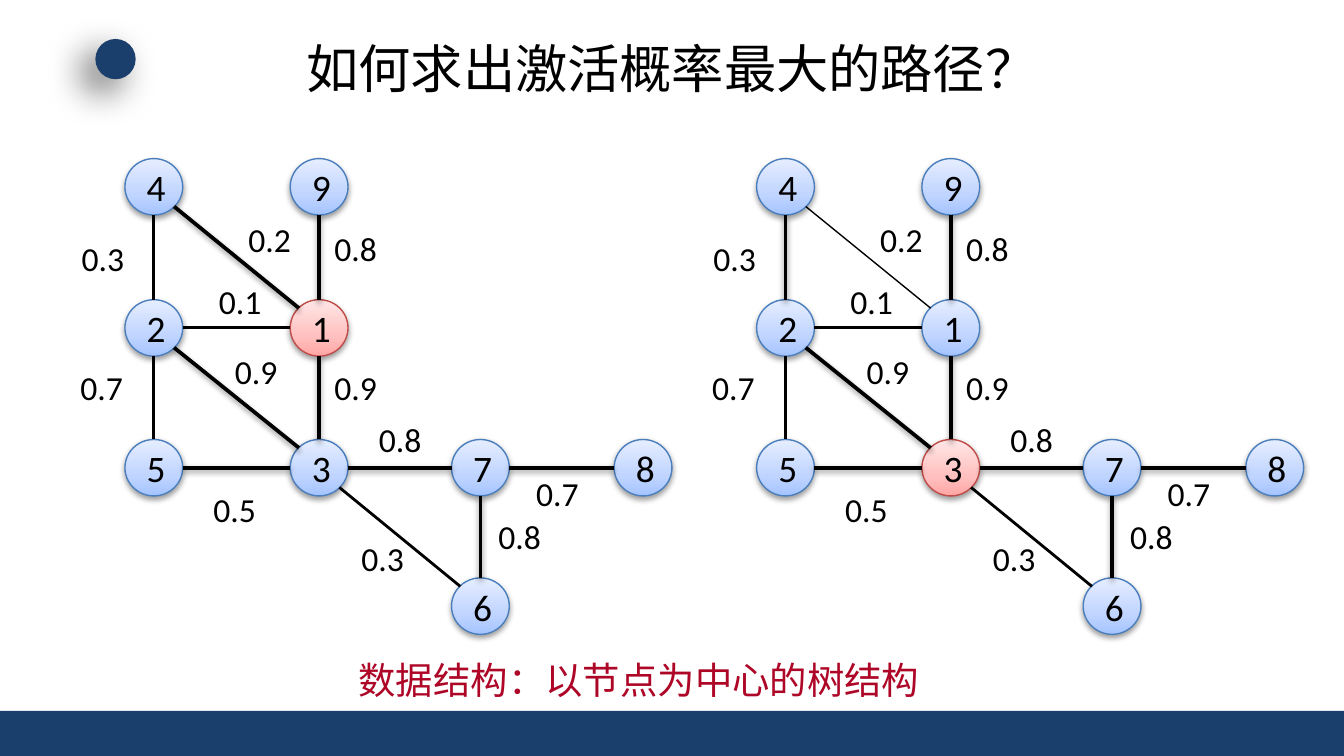
from copy import deepcopy
from lxml import etree
from pptx import Presentation
from pptx.dml.color import RGBColor
from pptx.enum.shapes import MSO_CONNECTOR, MSO_SHAPE
from pptx.enum.text import MSO_ANCHOR, MSO_AUTO_SIZE, PP_ALIGN
from pptx.oxml.ns import qn
from pptx.util import Inches, Pt

OVAL, RECT = MSO_SHAPE.OVAL, MSO_SHAPE.RECTANGLE
STRAIGHT = MSO_CONNECTOR.STRAIGHT
CENTER, MIDDLE = PP_ALIGN.CENTER, MSO_ANCHOR.MIDDLE
GROW = MSO_AUTO_SIZE.SHAPE_TO_FIT_TEXT
LATIN, CJK = "Calibri", "Noto Sans CJK SC"
COLORS = {"navy": "1A3F6C", "black": "000000", "red": "AE0627"}
NODE_STYLES = {
    "plain": {"line": "4B7EBC", "stops": ["A4C4FF", "BFD4FF", "E6EEFF"]},
    "center": {"line": "BF4C48", "stops": ["FFA6A5", "FFC0BF", "FFE7E7"]},
}
SOFT_SHADOW = {"blur": 3.1, "dist": 1.6, "angle": 90, "alpha": 38}
DEEP_SHADOW = {"blur": 20, "dist": 10, "angle": 135, "alpha": 60}


def write(shape, text, size, font=LATIN, color="black", align=None):
    paragraph = shape.text_frame.paragraphs[0]
    paragraph.alignment = align
    run = paragraph.add_run()
    run.text = text
    for name, value in {"size": Pt(size), "name": font}.items():
        setattr(run.font, name, value)
    run.font.color.rgb = RGBColor.from_string(COLORS[color])
    if font == CJK:
        etree.SubElement(run.font._element, qn("a:ea"), typeface=font)


def set_shadow(shape, shadow=None):
    """Call after fill and line: the effect list comes last."""
    effects = etree.SubElement(shape._element.spPr, qn("a:effectLst"))
    if shadow:
        outer = etree.SubElement(
            effects, qn("a:outerShdw"), blurRad=str(Pt(shadow["blur"])),
            dist=str(Pt(shadow["dist"])), dir=str(shadow["angle"] * 60000),
            rotWithShape="0")
        color = etree.SubElement(outer, qn("a:srgbClr"), val=COLORS["black"])
        etree.SubElement(color, qn("a:alpha"), val=str(shadow["alpha"] * 1000))


prs = Presentation()
prs.slide_width = Inches(10)
prs.slide_height = Inches(10 * 9 / 16)
slide = prs.slides.add_slide(prs.slide_layouts[5])

# Title
title = slide.shapes.title
title.left, title.top = Inches(0.5), Inches(0.23)
title.width, title.height = Inches(9), Inches(0.55)
title.text_frame.vertical_anchor = MIDDLE
write(title, "如何求出激活概率最大的路径？", 28, CJK, align=CENTER)

# Footer band and corner dot
for kind, box, shadow in [(RECT, (0, 5.29, 10, 0.34), None),
                          (OVAL, (0.71, 0.29, 0.3, 0.3), DEEP_SHADOW)]:
    ornament = slide.shapes.add_shape(kind, *map(Inches, box))
    ornament.fill.solid()
    ornament.fill.fore_color.rgb = RGBColor.from_string(COLORS["navy"])
    ornament.line.fill.background()
    set_shadow(ornament, shadow)

# Graph data: node top-left corners on a grid of columns and rows
NODE_W, NODE_H = 0.43, 0.42
COLS = [0.93, 2.16, 3.36, 4.57]
ROWS = [1.18, 2.23, 3.27, 4.3]
NODES = {2: (0, 1), 1: (1, 1), 3: (1, 2), 6: (2, 3), 5: (0, 2),
         7: (2, 2), 8: (3, 2), 9: (1, 0), 4: (0, 0)}
# start, end, probability, label left and top, line width in each graph
EDGES = [
    (1, 2, "0.1", 1.53, 2.04, (1.5, 1.5)),
    (1, 4, "0.2", 1.75, 1.58, (2, 0.75)),
    (9, 1, "0.8", 2.39, 1.65, (2, 2)),
    (2, 4, "0.3", 0.51, 1.72, (1.5, 2)),
    (2, 5, "0.7", 0.5, 2.68, (1.5, 1.5)),
    (3, 1, "0.9", 2.39, 2.68, (2, 2)),
    (6, 3, "0.3", 2.59, 3.95, (1.5, 1.5)),
    (7, 6, "0.8", 3.61, 3.79, (2, 2)),
    (3, 7, "0.8", 2.72, 3.07, (2, 2)),
    (7, 8, "0.7", 3.89, 3.47, (2, 2)),
    (2, 3, "0.9", 1.65, 2.56, (2, 2)),
    (5, 3, "0.5", 1.49, 3.59, (2, 2)),
]

for graph_index, (offset, center_node) in enumerate([(0, 1), (4.7, 3)]):
    graph = slide.shapes.add_group_shape().shapes

    # Nodes
    for number, (col, row) in NODES.items():
        style = NODE_STYLES["center" if number == center_node else "plain"]
        node = graph.add_shape(OVAL, Inches(COLS[col] + offset), Inches(ROWS[row]),
                               Inches(NODE_W), Inches(NODE_H))
        node.fill.gradient()
        node.fill.gradient_angle = 90
        stop_list = node._element.spPr.find(".//" + qn("a:gsLst"))
        stop_list.append(deepcopy(stop_list[0]))
        for stop, position, color in zip(node.fill.gradient_stops,
                                         (0, 0.35, 1), style["stops"]):
            stop.position = position
            stop.color.rgb = RGBColor.from_string(color)
        node.line.color.rgb = RGBColor.from_string(style["line"])
        node.line.width = Pt(0.75)
        set_shadow(node, SOFT_SHADOW)
        node.text_frame.vertical_anchor = MIDDLE
        write(node, str(number), 20, align=CENTER)

    # Edges run from rim to rim, diagonals at 45 degrees on the rim
    for start, end, _, _, _, widths in EDGES:
        (col_a, row_a), (col_b, row_b) = NODES[start], NODES[end]
        step_x = (col_b > col_a) - (col_b < col_a)
        step_y = (row_b > row_a) - (row_b < row_a)
        reach = 0.35 if step_x and step_y else 0.5
        points = []
        for col, row, sign in [(col_a, row_a, 1), (col_b, row_b, -1)]:
            points += [COLS[col] + offset + NODE_W * (0.5 + sign * reach * step_x),
                       ROWS[row] + NODE_H * (0.5 + sign * reach * step_y)]
        edge = graph.add_connector(STRAIGHT, *map(Inches, points))
        edge.line.color.rgb = RGBColor.from_string(COLORS["black"])
        edge.line.width = Pt(widths[graph_index])
        set_shadow(edge, SOFT_SHADOW if widths[graph_index] == 2 else None)

    # Edge probabilities
    for _, _, probability, left, top, _ in EDGES:
        label = graph.add_textbox(Inches(left + offset), Inches(top),
                                  Inches(0.54), Inches(0.4))
        label.text_frame.word_wrap = False
        label.text_frame.auto_size = GROW
        write(label, probability, 18)

# Conclusion
conclusion = slide.shapes.add_textbox(Inches(1.95), Inches(4.84),
                                      Inches(5.61), Inches(0.44))
conclusion.text_frame.word_wrap = True
conclusion.text_frame.auto_size = GROW
write(conclusion, "数据结构：以节点为中心的树结构", 20, CJK, "red", CENTER)

prs.save("out.pptx")
